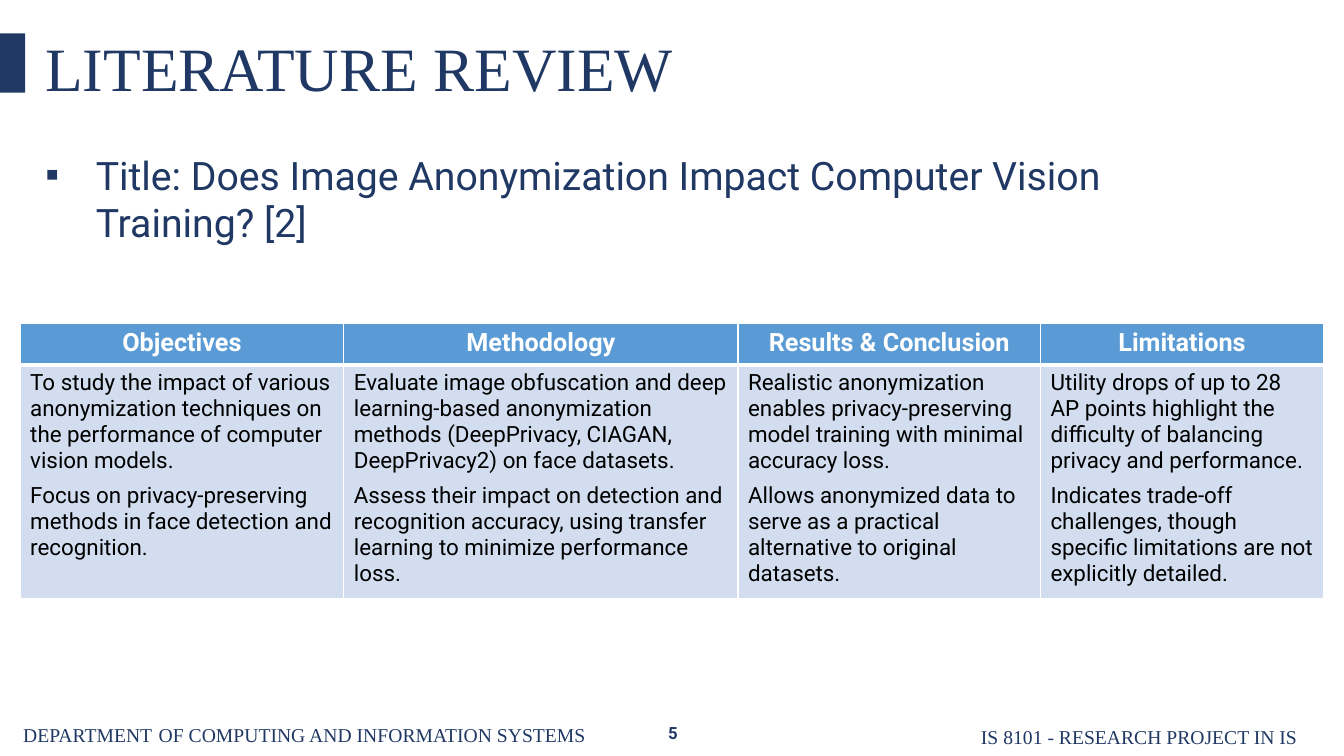
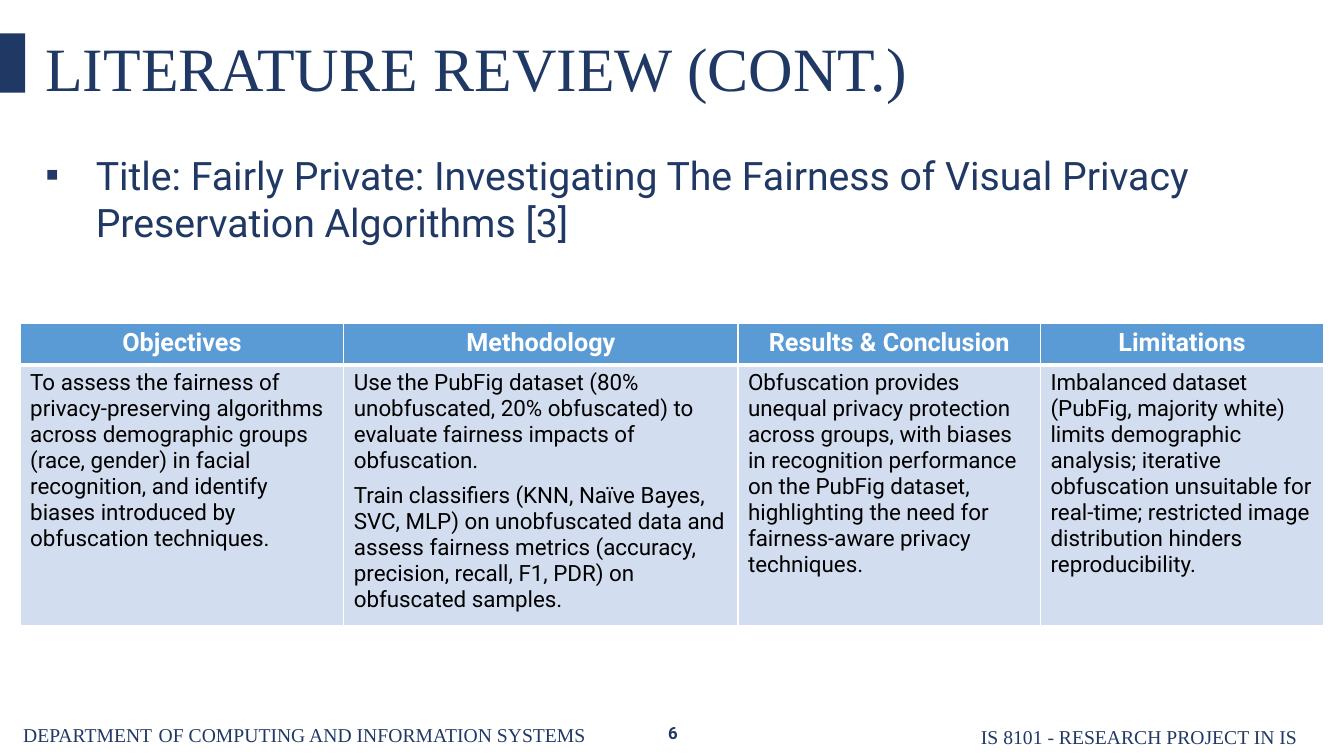
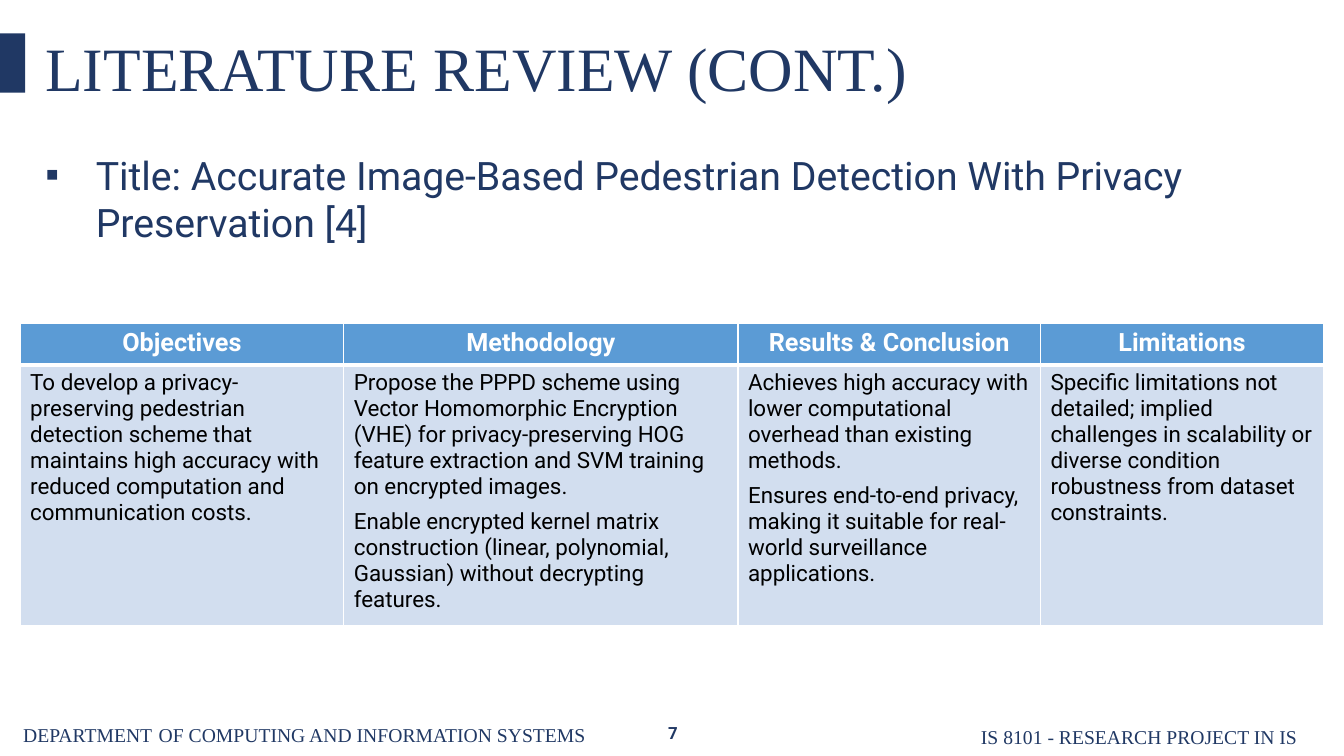
from lxml.etree import SubElement
from pptx import Presentation
from pptx.dml.color import RGBColor
from pptx.enum.shapes import MSO_SHAPE as Preset
from pptx.enum.text import MSO_ANCHOR as Anchor, MSO_AUTO_SIZE as AutoSize, PP_ALIGN as Align
from pptx.oxml.ns import qn
from pptx.util import Inches, Pt

NAVY = RGBColor(0x20, 0x38, 0x64)
HEADER_BLUE = RGBColor(0x5B, 0x9B, 0xD5)
PALE_BLUE = RGBColor(0xD2, 0xDE, 0xEF)
WHITE = RGBColor(0xFF, 0xFF, 0xFF)
BLACK = RGBColor(0, 0, 0)
SERIF = "Times New Roman"
SANS = "Roboto"

FIRST_NUMBER = 5
COURSE = [("IS 8101 - RESEARCH PROJECT IN IS", 14)]
DEPARTMENT = [
    ("DEPARTMENT", 14),
    (" ", 18),
    ("OF COMPUTING AND INFORMATION SYSTEMS", 14),
]
COLUMNS = [
    ("Objectives", 3.21),
    ("Methodology", 3.91),
    ("Results & Conclusion", 3),
    ("Limitations", 2.81),
]
HEADER_HEIGHT = 0.41

REVIEWS = [
    {
        "heading": "LITERATURE REVIEW",
        "paper": "Title: Does Image Anonymization Impact Computer Vision Training? [2]",
        "height": 2.31,
        "findings": [
            [
                "To study the impact of various anonymization techniques on the performance of computer vision models.",
                "Focus on privacy-preserving methods in face detection and recognition.",
            ],
            [
                "Evaluate image obfuscation and deep learning-based anonymization methods (DeepPrivacy, CIAGAN, DeepPrivacy2) on face datasets.",
                "Assess their impact on detection and recognition accuracy, using transfer learning to minimize performance loss.",
            ],
            [
                "Realistic anonymization enables privacy-preserving model training with minimal accuracy loss.",
                "Allows anonymized data to serve as a practical alternative to original datasets.",
            ],
            [
                "Utility drops of up to 28 AP points highlight the difficulty of balancing privacy and performance.",
                "Indicates trade-off challenges, though specific limitations are not explicitly detailed.",
            ],
        ],
    },
    {
        "heading": "LITERATURE REVIEW (CONT.)",
        "paper": "Title: Fairly Private: Investigating The Fairness of Visual Privacy Preservation Algorithms [3]",
        "height": 2.58,
        "findings": [
            [
                "To assess the fairness of privacy-preserving algorithms across demographic groups (race, gender) in facial recognition, and identify biases introduced by obfuscation techniques.",
            ],
            [
                "Use the PubFig dataset (80% unobfuscated, 20% obfuscated) to evaluate fairness impacts of obfuscation.",
                "Train classifiers (KNN, Naïve Bayes, SVC, MLP) on unobfuscated data and assess fairness metrics (accuracy, precision, recall, F1, PDR) on obfuscated samples.",
            ],
            [
                "Obfuscation provides unequal privacy protection across groups, with biases in recognition performance on the PubFig dataset, highlighting the need for fairness-aware privacy techniques.",
            ],
            [
                "Imbalanced dataset (PubFig, majority white) limits demographic analysis; iterative obfuscation unsuitable for real-time; restricted image distribution hinders reproducibility.",
            ],
        ],
    },
    {
        "heading": "LITERATURE REVIEW (CONT.)",
        "paper": "Title: Accurate Image-Based Pedestrian Detection With Privacy Preservation [4]",
        "height": 2.58,
        "findings": [
            [
                "To develop a privacy-preserving pedestrian detection scheme that maintains high accuracy with reduced computation and communication costs.",
            ],
            [
                "Propose the PPPD scheme using Vector Homomorphic Encryption (VHE) for privacy-preserving HOG feature extraction and SVM training on encrypted images.",
                "Enable encrypted kernel matrix construction (linear, polynomial, Gaussian) without decrypting features.",
            ],
            [
                "Achieves high accuracy with lower computational overhead than existing methods.",
                "Ensures end-to-end privacy, making it suitable for real-world surveillance applications.",
            ],
            [
                "Specific limitations not detailed; implied challenges in scalability or diverse condition robustness from dataset constraints.",
            ],
        ],
    },
]


def add_run(paragraph, text, size, font, color=NAVY, bold=False):
    run = paragraph.add_run()
    run.text = text
    run.font.size = Pt(size)
    run.font.name = font
    run.font.bold = bold
    run.font.color.rgb = color


def fill_placeholder(holder, place, text, size, font):
    holder.left, holder.top, holder.width, holder.height = map(Inches, place)
    frame = holder.text_frame
    frame.word_wrap = True
    frame.auto_size = AutoSize.NONE
    frame.vertical_anchor = Anchor.BOTTOM
    line = frame.paragraphs[0]
    line.alignment = Align.LEFT
    line.space_before = Pt(0)
    add_run(line, text, size, font)
    return line


def add_bullet(paragraph, char, indent):
    props = paragraph._p.get_or_add_pPr()
    props.set("marL", str(Inches(indent)))
    props.set("indent", str(-Inches(indent)))
    SubElement(props, qn("a:buChar")).set("char", char)


def add_footer(slide, place, runs):
    frame = slide.shapes.add_textbox(*map(Inches, place)).text_frame
    frame.word_wrap = True
    frame.margin_left = frame.margin_right = frame.margin_bottom = 0
    frame.margin_top = Inches(0.02)
    for text, size in runs:
        add_run(frame.paragraphs[0], text, size, SERIF)


def add_frame(slide, number):
    accent = slide.shapes.add_shape(
        Preset.RECTANGLE, 0, Inches(0.33), Inches(0.25), Inches(0.59))
    accent.shadow.inherit = False
    accent.fill.solid()
    accent.fill.fore_color.rgb = NAVY
    accent.line.fill.background()
    add_footer(slide, (9.73, 7.17, 3.44, 0.25), COURSE)
    add_footer(slide, (0.23, 7.1, 6.02, 0.32), DEPARTMENT)
    page = slide.shapes.add_textbox(*map(Inches, (6.51, 7.07, 0.31, 0.4))).text_frame
    page.vertical_anchor = Anchor.MIDDLE
    page.paragraphs[0].alignment = Align.RIGHT
    add_run(page.paragraphs[0], str(number), 12, SANS, bold=True)


def style_cell(cell, fill, bottom_width):
    props = cell._tc.get_or_add_tcPr()
    for side, width in (("L", 1), ("R", 1), ("T", 1), ("B", bottom_width)):
        border = SubElement(props, qn(f"a:ln{side}"), w=str(Pt(width)))
        paint = SubElement(border, qn("a:solidFill"))
        SubElement(paint, qn("a:srgbClr")).set("val", str(WHITE))
    cell.fill.solid()
    cell.fill.fore_color.rgb = fill


def add_findings(slide, findings, height):
    table = slide.shapes.add_table(
        2, len(COLUMNS), Inches(0.2), Inches(3.21),
        Inches(sum(width for _, width in COLUMNS)),
        Inches(HEADER_HEIGHT + height)).table
    table.rows[0].height = Inches(HEADER_HEIGHT)
    table.rows[1].height = Inches(height)
    for col, ((label, width), points) in enumerate(zip(COLUMNS, findings)):
        table.columns[col].width = Inches(width)
        header, body = table.cell(0, col), table.cell(1, col)
        style_cell(header, HEADER_BLUE, 3)
        style_cell(body, PALE_BLUE, 1)
        title = header.text_frame.paragraphs[0]
        title.alignment = Align.CENTER
        add_run(title, label, 18, SANS, WHITE, bold=True)
        frame = body.text_frame
        for row, point in enumerate(points):
            paragraph = frame.add_paragraph() if row else frame.paragraphs[0]
            paragraph.space_after = Pt(6)
            add_run(paragraph, point, 16, SANS, BLACK)


def main():
    prs = Presentation()
    prs.slide_width, prs.slide_height = Inches(13.33), Inches(7.5)
    for number, review in enumerate(REVIEWS, FIRST_NUMBER):
        slide = prs.slides.add_slide(prs.slide_layouts[1])
        add_frame(slide, number)
        fill_placeholder(slide.shapes.title, (0.35, 0.24, 8.98, 0.84),
                         review["heading"], 44, SERIF)
        paper = fill_placeholder(slide.placeholders[1], (0.35, 1.44, 12.05, 1.04),
                                 review["paper"], 28, SANS)
        add_bullet(paper, "▪", 0.5)
        add_findings(slide, review["findings"], review["height"])
    prs.save("out.pptx")


if __name__ == "__main__":
    main()
